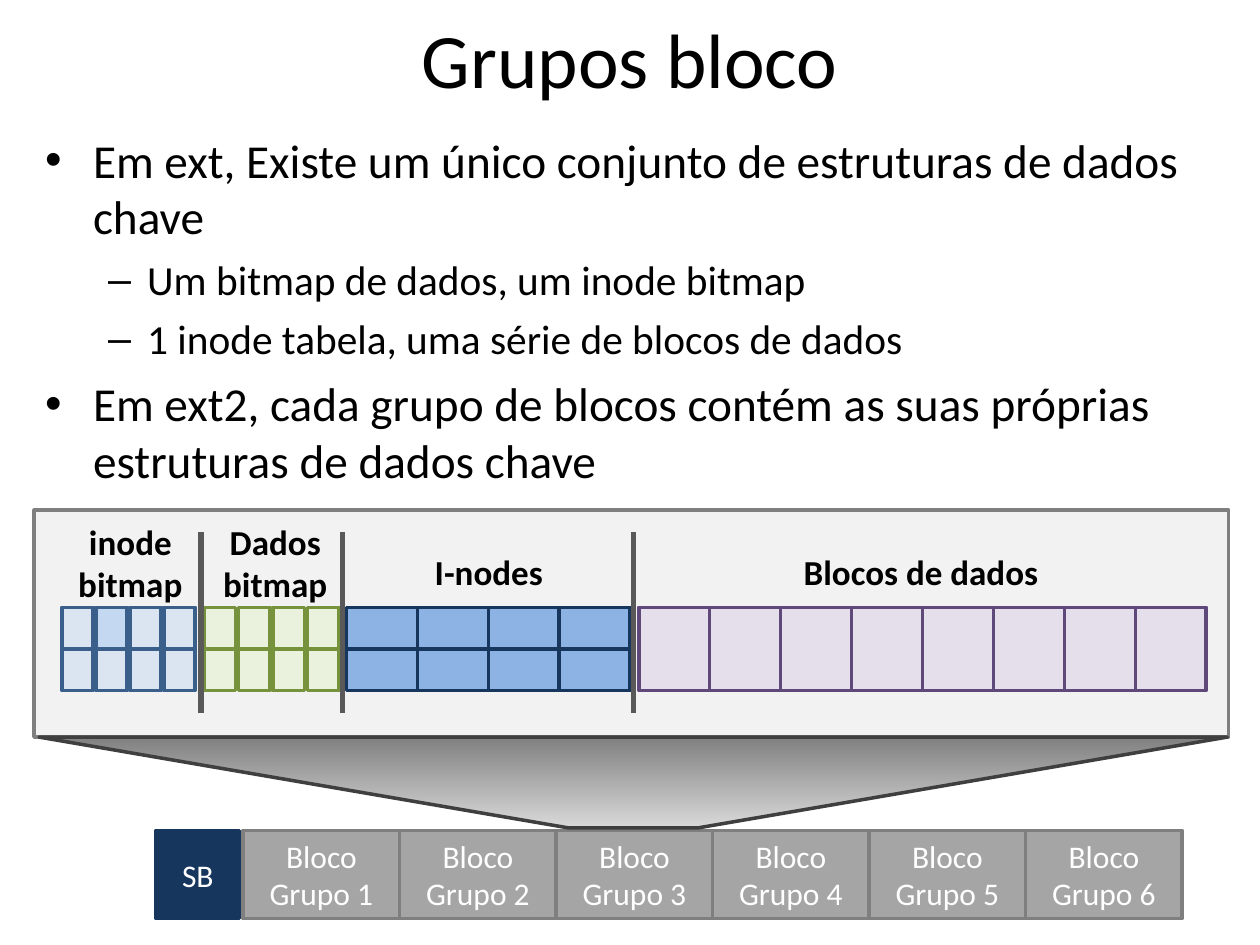
from lxml.etree import SubElement
from pptx import Presentation
from pptx.dml.color import RGBColor
from pptx.enum.shapes import MSO_CONNECTOR as Connector, MSO_SHAPE as Preset
from pptx.enum.text import MSO_ANCHOR as Anchor, PP_ALIGN as Align
from pptx.oxml.ns import qn
from pptx.util import Inches, Pt

# The slide is a grid of 100 columns by 75 rows
SLIDE_WIDTH, SLIDE_HEIGHT = Inches(10), Inches(7.5)
COLUMN, ROW = SLIDE_WIDTH / 100, SLIDE_HEIGHT / 75
FONT = "Calibri"

BODY = [
    (0, "Em ext, Existe um único conjunto de estruturas de dados chave"),
    (1, "Um bitmap de dados, um inode bitmap"),
    (1, "1 inode tabela, uma série de blocos de dados"),
    (0, "Em ext2, cada grupo de blocos contém as suas próprias estruturas de dados chave"),
]
# Per level: bullet, size, indent, hanging part, space before
LEVELS = [("•", 27, 0.38, 0.38, 6.4), ("–", 23.6, 0.81, 0.31, 5.6)]

# Left, columns, rows, pitch, cell width, fill, line
CELL_GRIDS = [
    (4.9, 4, 2, 2.7, 2.5, "DAE5F1", "3A5F8B"),
    (16.2, 4, 2, 2.73, 2.5, "EAF1DD", "76923C"),
    (27.5, 4, 2, 5.63, 5.63, "8CB3E3", "17365D"),
    (50.7, 8, 1, 5.63, 5.63, "E5DFEC", "5F497A"),
]
CELLS_TOP, CELLS_HEIGHT = 48.2, 6.6
USED_CELL = (0, 1, 0)  # grid, column, row
USED_FILL = "C5D8F1"

# Text, left, top, width, height
LABELS = [
    ("inode\nbitmap", 5.2, 40.8, 10.3, 7.6),
    ("Dados\nbitmap", 16.7, 40.8, 10.3, 7.6),
    ("I-nodes", 33.5, 43.2, 10.6, 4.3),
    ("Blocos de dados", 62.8, 43.2, 20.6, 4.3),
]
DIVIDERS = [15.95, 27.2, 50.3]

GROUP_COUNT, GROUP_LEFT, GROUP_WIDTH = 6, 19.3, 12.42
DISK_TOP, DISK_HEIGHT = 65.9, 7


def color(hex_string):
    return RGBColor.from_string(hex_string)


def box(left, top, width, height):
    return [round(n) for n in (left * COLUMN, top * ROW, width * COLUMN, height * ROW)]


def write_text(shape, text, size=18, ink="000000", bold=False,
               align=Align.CENTER, anchor=Anchor.TOP, wrap=True):
    frame = shape.text_frame
    frame.word_wrap = wrap
    frame.vertical_anchor = anchor
    frame.text = text
    for paragraph in frame.paragraphs:
        paragraph.alignment = align
        for run in paragraph.runs:
            font = run.font
            font.name, font.size, font.bold = FONT, Pt(size), bold
            font.color.rgb = color(ink)


def add_text(shapes, place, text, **text_format):
    write_text(shapes.add_textbox(*box(*place)), text, **text_format)


def add_block(shapes, place, fill, line, preset=Preset.RECTANGLE):
    shape = shapes.add_shape(preset, *box(*place))
    shape.shadow.inherit = False
    shape.fill.solid()
    shape.fill.fore_color.rgb = color(fill)
    shape.line.color.rgb = color(line)
    shape.line.width = Pt(2)
    return shape


def add_divider(shapes, x, top, bottom):
    connector = shapes.add_connector(
        Connector.STRAIGHT, *box(x, top, x, bottom))
    connector.line.color.rgb = color("595959")
    connector.line.width = Pt(3)
    SubElement(connector._element.spPr, qn("a:effectLst"))


def add_body(shapes):
    text_box = shapes.add_textbox(*box(2.6, 9.9, 94.9, 29.7))
    write_text(text_box, "\n".join(text for _, text in BODY), align=Align.LEFT)
    for index, (level, _) in enumerate(BODY):
        bullet, size, indent, hanging, space = LEVELS[level]
        paragraph = text_box.text_frame.paragraphs[index]
        properties = paragraph._p.get_or_add_pPr()
        properties.set("marL", str(Inches(indent)))
        properties.set("indent", str(-Inches(hanging)))
        SubElement(properties, qn("a:buFont"), typeface="Arial")
        SubElement(properties, qn("a:buChar"), char=bullet)
        paragraph.level = level
        paragraph.runs[0].font.size = Pt(size)
        if index:
            paragraph.space_before = Pt(space)


def add_cells(shapes):
    for grid, (left, columns, rows, pitch, width, fill, line) in enumerate(CELL_GRIDS):
        height = CELLS_HEIGHT / rows
        for row in range(rows):
            for column in range(columns):
                used = (grid, column, row) == USED_CELL
                place = (left + column * pitch, CELLS_TOP + row * height, width, height)
                add_block(shapes, place, USED_FILL if used else fill, line)


def add_group_detail(shapes):
    add_block(shapes, (2.7, 40.5, 94.8, 18), "F2F2F2", "7F7F7F")
    add_cells(shapes)
    for text, *place in LABELS:
        add_text(shapes, place, text, size=20, bold=True, wrap=False)
    for x in DIVIDERS:
        add_divider(shapes, x, 42.2, 56.6)


def add_disk(shapes):
    blocks = [("SB", 12.4, 6.6, "17365D", "17365D")]
    blocks += [(f"Bloco Grupo {n + 1}", GROUP_LEFT + n * GROUP_WIDTH, GROUP_WIDTH,
                "A5A5A5", "7F7F7F") for n in range(GROUP_COUNT)]
    for text, left, width, fill, line in blocks:
        block = add_block(shapes, (left, DISK_TOP, width, DISK_HEIGHT), fill, line)
        write_text(block, text, ink="FFFFFF", anchor=Anchor.MIDDLE)


def add_funnel(shapes):
    funnel = add_block(shapes, (3.1, 58.5, 94.3, 7.2), "808080", "3F3F3F", Preset.TRAPEZOID)
    funnel.rotation = 180
    funnel.adjustments[0] = 5.83
    funnel.fill.gradient()
    funnel.fill.gradient_angle = 90
    for stop, shade in zip(funnel.fill.gradient_stops, ("808080", "D9D9D9")):
        stop.color.rgb = color(shade)


def main():
    presentation = Presentation()
    presentation.slide_width, presentation.slide_height = SLIDE_WIDTH, SLIDE_HEIGHT
    slide = presentation.slides.add_slide(presentation.slide_layouts[6])

    # Title and bullets
    add_text(slide.shapes, (5, 0, 90, 9.2), "Grupos bloco", size=44, anchor=Anchor.MIDDLE)
    add_body(slide.shapes)

    # Inside of one block group, above the disk it belongs to
    add_group_detail(slide.shapes.add_group_shape().shapes)
    add_disk(slide.shapes)
    add_funnel(slide.shapes)

    presentation.save("out.pptx")


if __name__ == "__main__":
    main()
